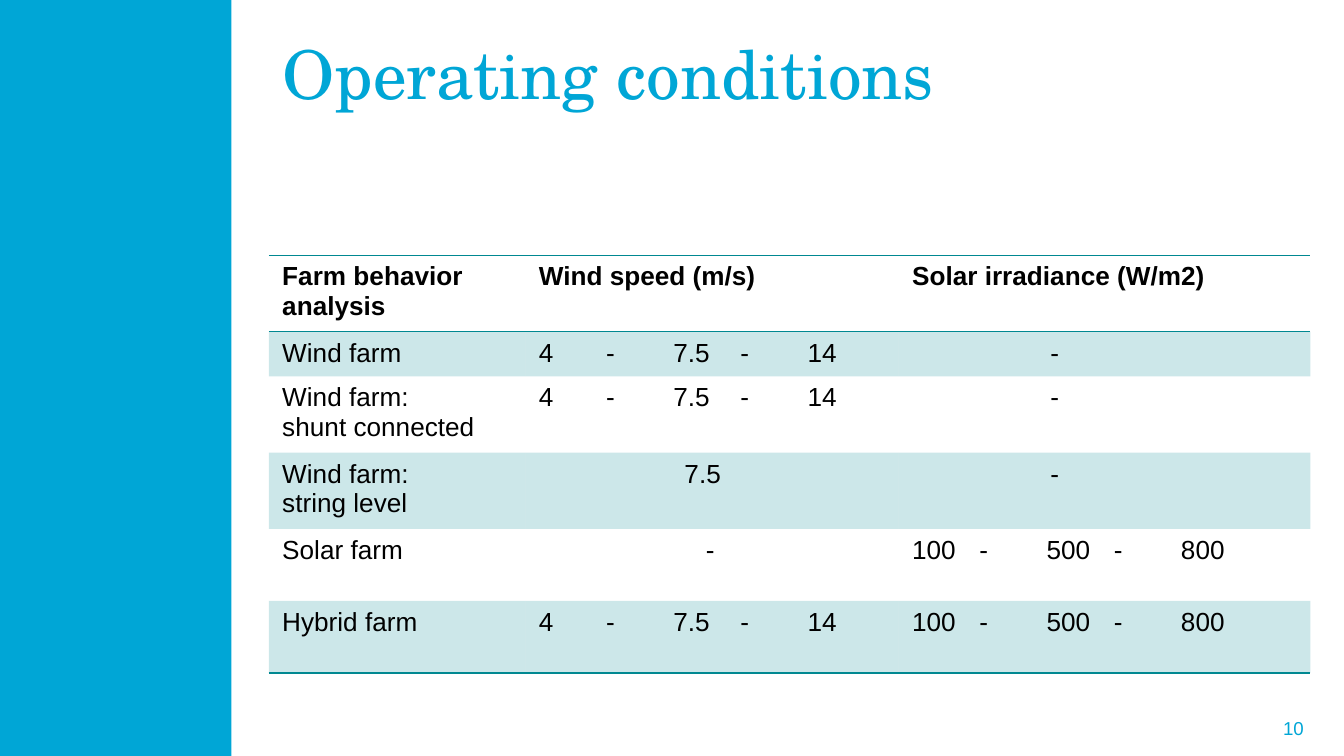
from lxml import etree
from pptx import Presentation
from pptx.dml.color import RGBColor
from pptx.enum.shapes import MSO_SHAPE
from pptx.enum.text import MSO_ANCHOR, MSO_AUTO_SIZE, PP_ALIGN
from pptx.oxml.ns import qn
from pptx.util import Pt

RECTANGLE = MSO_SHAPE.RECTANGLE
MIDDLE = MSO_ANCHOR.MIDDLE
NO_AUTOFIT = MSO_AUTO_SIZE.NONE
LEFT, RIGHT = PP_ALIGN.LEFT, PP_ALIGN.RIGHT
CYAN = RGBColor(0x00, 0xA6, 0xD6)
TEAL = RGBColor(0x00, 0x88, 0x91)
BLACK = RGBColor(0x00, 0x00, 0x00)

TITLE_FORMAT = {"name": "TeX Gyre Schola", "size": Pt(36), "bold": False}
NUMBER_FORMAT = {"name": "Arial", "size": Pt(10)}
CELL_FORMAT = {"name": "Arial", "size": Pt(14)}
NO_TABLE_STYLE = "{2D5ABB26-0587-4C30-8999-92F81FD0307C}"
BAND_ALPHA = "20000"

WIND_STOPS = (39, 78.5, 117.5, 157)
SOLAR_STOPS = (50.5, 70.5, 110, 134)
WIND_RANGE = ("4\t-\t7.5\t-\t14", WIND_STOPS, 0)
SOLAR_RANGE = ("100\t-\t500\t-\t800", SOLAR_STOPS, 0)
NO_SUN = ("-", (), 74)
COLUMN_WIDTHS = (137.5, 200, 220.5)
TALL_ROW, LOW_ROW = 38.6, 23.3
ROWS = (
    (TALL_ROW, "Farm behavior analysis", ("Wind speed (m/s)", (), 0),
     ("Solar irradiance (W/m2)", (), 0)),
    (LOW_ROW, "Wind farm", WIND_RANGE, NO_SUN),
    (TALL_ROW, "Wind farm:\nshunt connected", WIND_RANGE, NO_SUN),
    (TALL_ROW, "Wind farm:\nstring level", ("7.5", (), 78), NO_SUN),
    (TALL_ROW, "Solar farm", ("-", (), 89.5), SOLAR_RANGE),
    (TALL_ROW, "Hybrid farm", WIND_RANGE, SOLAR_RANGE),
)


def format_text(frame, formats, color, align=LEFT):
    """Apply font values, colour and alignment to all text in a frame."""
    for paragraph in frame.paragraphs:
        paragraph.alignment = align
        for run in paragraph.runs:
            for key, value in formats.items():
                setattr(run.font, key, value)
            run.font.color.rgb = color


def indent_text(paragraph, stops, indent):
    """Set the left indent and tab stops of a paragraph."""
    properties = paragraph._p.get_or_add_pPr()
    properties.set("marL", str(Pt(indent)))
    properties.set("indent", "0")
    if stops:
        tabs = etree.SubElement(properties, qn("a:tabLst"))
        for stop in stops:
            etree.SubElement(tabs, qn("a:tab"), pos=str(Pt(stop)), algn="l")


def rule_cell(cell, edges):
    """Draw a thin teal rule on the named edges of a cell."""
    properties = cell._tc.get_or_add_tcPr()
    for position, edge in enumerate(edges):
        line = etree.Element(qn(f"a:ln{edge}"), w=str(Pt(1)))
        fill = etree.SubElement(line, qn("a:solidFill"))
        etree.SubElement(fill, qn("a:srgbClr"), val=str(TEAL))
        properties.insert(position, line)


def fill_band(cell, banded):
    """Give a cell a pale teal band or no fill."""
    if not banded:
        cell.fill.background()
        return
    cell.fill.solid()
    cell.fill.fore_color.rgb = TEAL
    tint = cell._tc.tcPr.find(".//" + qn("a:srgbClr"))
    etree.SubElement(tint, qn("a:alpha"), val=BAND_ALPHA)


def add_sidebar(slide, left, top, width, height):
    """Place the cyan bar along the slide edge."""
    sidebar = slide.shapes.add_shape(
        RECTANGLE, Pt(left), Pt(top), Pt(width), Pt(height))
    sidebar.shadow.inherit = False
    sidebar.fill.solid()
    sidebar.fill.fore_color.rgb = CYAN
    sidebar.line.fill.background()


def add_title(slide, left, top, width, height):
    """Place the heading in the title placeholder."""
    title = slide.shapes.title
    box = {"left": left, "top": top, "width": width, "height": height}
    for side, length in box.items():
        setattr(title, side, Pt(length))
    frame = title.text_frame
    frame.text = "Operating conditions"
    frame.auto_size = NO_AUTOFIT
    frame.vertical_anchor = MIDDLE
    format_text(frame, TITLE_FORMAT, CYAN)


def add_page_number(slide, left, top, width, height):
    """Place the page number at the right of its box."""
    number = slide.shapes.add_textbox(
        Pt(left), Pt(top), Pt(width), Pt(height))
    frame = number.text_frame
    frame.word_wrap = True
    frame.vertical_anchor = MIDDLE
    frame.text = "10"
    format_text(frame, NUMBER_FORMAT, CYAN, RIGHT)


def add_conditions(slide, left, top, width, height):
    """Place the table of wind and solar conditions."""
    holder = slide.shapes.add_table(
        len(ROWS), len(COLUMN_WIDTHS), Pt(left), Pt(top), Pt(width), Pt(height))
    conditions = holder.table
    holder.element.find(".//" + qn("a:tableStyleId")).text = NO_TABLE_STYLE
    conditions.horz_banding = False
    for column, column_width in zip(conditions.columns, COLUMN_WIDTHS):
        column.width = Pt(column_width)
    for index, (row_height, farm, wind, sun) in enumerate(ROWS):
        conditions.rows[index].height = Pt(row_height)
        edges = {0: "TB", len(ROWS) - 1: "B"}.get(index, "")
        entries = ((farm, (), 0), wind, sun)
        for cell, (text, stops, indent) in zip(
                conditions.rows[index].cells, entries):
            cell.text = text
            for paragraph in cell.text_frame.paragraphs:
                indent_text(paragraph, stops, indent)
            format_text(cell.text_frame,
                        {**CELL_FORMAT, "bold": index == 0}, BLACK)
            fill_band(cell, index % 2 == 1)
            rule_cell(cell, edges)


def main():
    """Build the slide and save it."""
    deck = Presentation()
    deck.slide_width, deck.slide_height = Pt(720), Pt(405)
    slide = deck.slides.add_slide(deck.slide_layouts[5])
    add_page_number(slide, 523.5, 379.5, 182, 21.6)
    add_sidebar(slide, 0, 0, 124, 405)
    add_title(slide, 144, 5, 558, 67.5)
    add_conditions(slide, 144, 136.8, sum(COLUMN_WIDTHS),
                   sum(row[0] for row in ROWS))
    deck.save("out.pptx")


if __name__ == "__main__":
    main()
